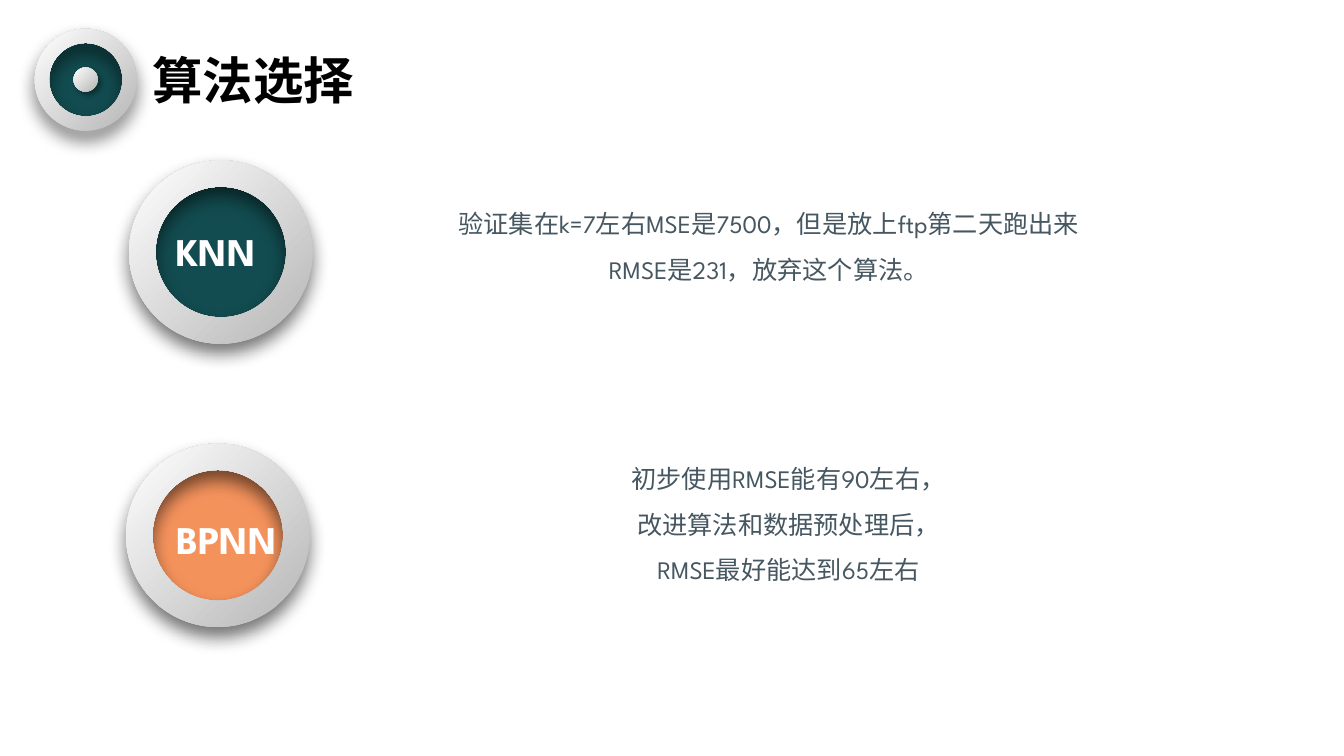
from lxml import etree
from pptx import Presentation
from pptx.dml.color import RGBColor
from pptx.enum.shapes import MSO_SHAPE as Kind
from pptx.enum.text import MSO_ANCHOR as Anchor, MSO_AUTO_SIZE as Fit, PP_ALIGN as Align
from pptx.oxml.ns import qn
from pptx.util import Inches, Pt

TEAL = RGBColor(0x12, 0x4C, 0x50)
ORANGE = RGBColor(0xF4, 0x92, 0x5C)
SILVER = RGBColor(0xBF, 0xBF, 0xBF)
WHITE = RGBColor(0xFF, 0xFF, 0xFF)
BLACK = RGBColor(0, 0, 0)
SLATE = RGBColor(0x46, 0x57, 0x61)
FONT = "League Spartan"


def put_round(group, kind, mid, size, color=None, shade=None):
    x, y = mid
    shape = group.shapes.add_shape(
        kind, Inches(x - size / 2), Inches(y - size / 2), Inches(size), Inches(size))
    shape.line.fill.background()
    shape.shadow.inherit = False
    if color is not None:
        shape.fill.solid()
        shape.fill.fore_color.rgb = color
        return shape
    shape.rotation = 180
    shape.fill.gradient()
    shape.fill.gradient_angle = 315
    for stop, tone, place in zip(shape.fill.gradient_stops, (SILVER, WHITE), (0.12, 1)):
        stop.color.rgb = tone
        stop.position = place
    alpha, blur, dist, angle = shade
    effects = shape._element.spPr.find(qn("a:effectLst"))
    outer = etree.SubElement(
        effects, qn("a:outerShdw"), blurRad=str(Pt(blur)), dist=str(Pt(dist)),
        dir=str(angle * 60000), algn="ctr", rotWithShape="0")
    tint = etree.SubElement(outer, qn("a:srgbClr"), val=str(BLACK))
    etree.SubElement(tint, qn("a:alpha"), val=str(alpha * 1000))
    return shape


def put_text(shape, box, lines, size, color, bold=False, align=Align.LEFT,
             space=1.0, before=0, wrap=True):
    shape.left, shape.top, shape.width, shape.height = map(Inches, box)
    frame = shape.text_frame
    frame.word_wrap = wrap
    frame.auto_size = Fit.SHAPE_TO_FIT_TEXT
    frame.vertical_anchor = Anchor.TOP
    frame.text = "\n".join(lines)
    for para in frame.paragraphs:
        para.alignment = align
        para.line_spacing = space
        para.space_before = Pt(before)
        font = para.runs[0].font
        font.name, font.size, font.bold = FONT, Pt(size), bold
        font.color.rgb = color


deck = Presentation()
deck.slide_width, deck.slide_height = Inches(13.33), Inches(7.5)
slide = deck.slides.add_slide(deck.slide_layouts[5])
shapes = slide.shapes

put_text(shapes.title, (1.41, 0.51, 4.64, 0.64), ["算法选择"], 36, BLACK,
         bold=True, space=0.9, before=10)

badges = [
    ((0.85, 0.79), 0.79, 1.01, 0.139, TEAL, 0.24),
    ((2.19, 2.5), 1.42, 1.82, 0.144, TEAL, None),
    ((2.16, 5.31), 1.42, 1.82, 0.144, ORANGE, None),
]
for mid, inner, outer, rim, color, dot in badges:
    group = shapes.add_group_shape()
    put_round(group, Kind.OVAL, mid, inner, color)
    if dot:
        put_round(group, Kind.OVAL, mid, dot, shade=(40, 4, 3, 45))
    ring = put_round(group, Kind.DONUT, mid, outer, shade=(54, 13, 7, 90))
    ring.adjustments[0] = rim

labels = [("KNN", 2.21, 1.02), ("BPNN", 5.06, 1.22)]
for name, top, width in labels:
    put_text(shapes.add_textbox(0, 0, 0, 0), (1.65, top, width, 0.57), [name], 28, WHITE,
             bold=True, wrap=False)

notes = [
    ((4.16, 1.87, 6.93, 1.01),
     ["验证集在k=7左右MSE是7500，但是放上ftp第二天跑出来RMSE是231，放弃这个算法。"]),
    ((3.83, 4.4, 7.98, 1.46),
     ["初步使用RMSE能有90左右，", "改进算法和数据预处理后，", "RMSE最好能达到65左右"]),
]
for box, lines in notes:
    put_text(shapes.add_textbox(0, 0, 0, 0), box, lines, 18, SLATE,
             align=Align.CENTER, space=1.5)

deck.save("out.pptx")
